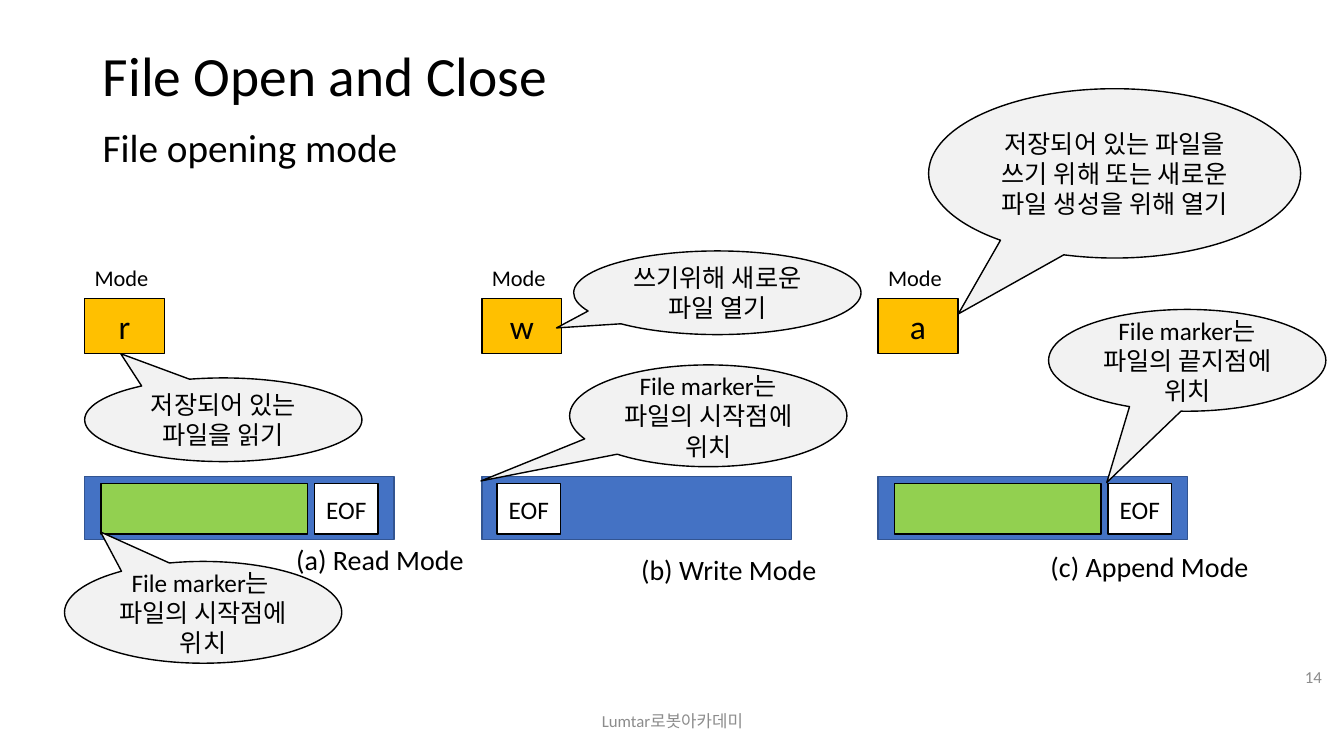
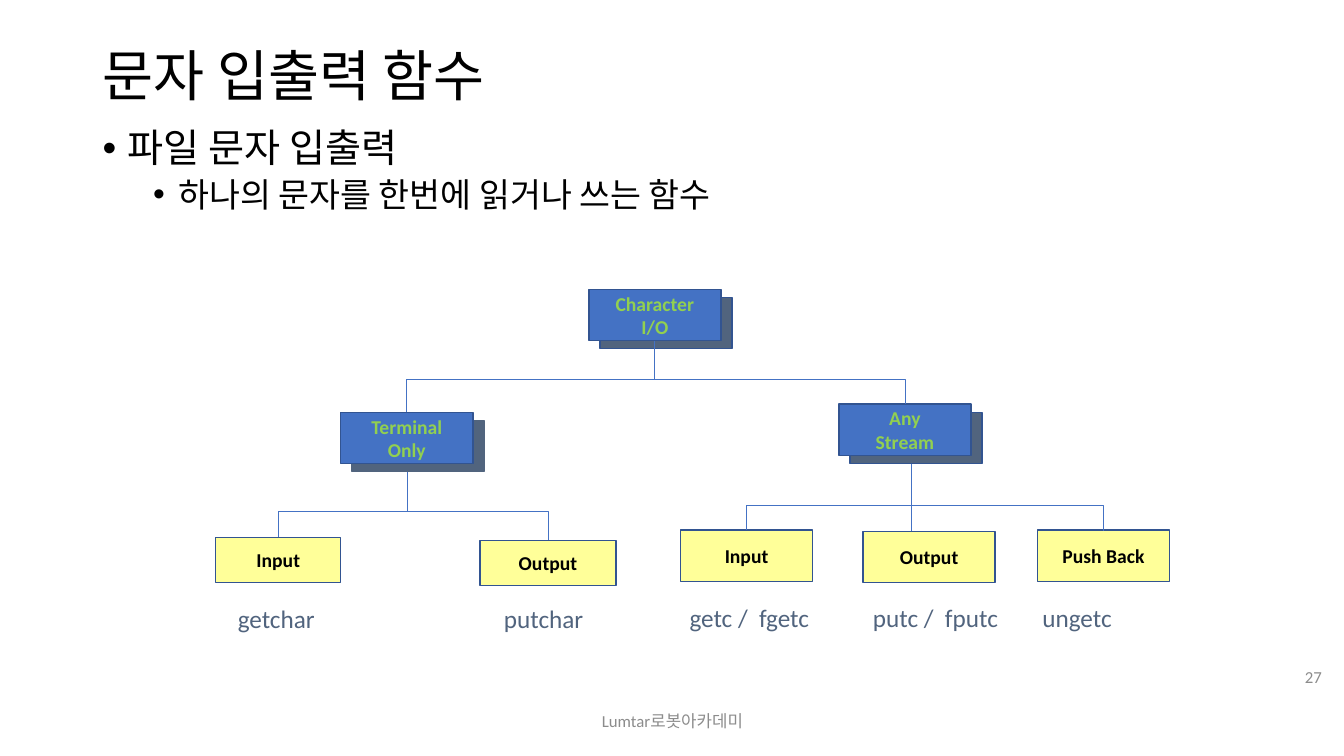
from lxml.etree import SubElement
from pptx import Presentation
from pptx.dml.color import RGBColor
from pptx.enum.shapes import MSO_CONNECTOR as CONN, MSO_SHAPE as SHAPE
from pptx.enum.text import MSO_ANCHOR as ANCHOR, MSO_AUTO_SIZE as AUTO, PP_ALIGN as ALIGN
from pptx.oxml.ns import qn
from pptx.util import Pt

PX = 9144
FONT = "Calibri"
BLACK, WHITE, GRAY = "000000", "FFFFFF", "8C8C8C"
BLUE, NAVY, SLATE = "4472C4", "325491", "51647E"
AMBER, GREEN, YELLOW, PALE = "FFC000", "92D050", "FFFF99", "F2F2F2"
FOOTER = "Lumtar로봇아카데미"


def px(n):
    return int(n * PX)


def rgb(code):
    return RGBColor.from_string(code)


class Deck:
    """Holds the shared style and the current slide."""

    def __init__(self):
        self.prs = Presentation()
        self.prs.slide_width, self.prs.slide_height = px(1333), px(750)
        self.s = None

    def slide(self, title, number):
        self.s = self.prs.slides.add_slide(self.prs.slide_layouts[5])
        sp = self.s.shapes.title
        sp.left, sp.top, sp.width, sp.height = map(px, (92, 40, 1150, 75))
        self.set_text(sp, [title], 39.6, spacing=0.9)
        self.text(442, 695, 450, 40, [FOOTER], 12, GRAY, ALIGN.CENTER, ANCHOR.MIDDLE)
        self.text(1259, 651, 62, 40, [number], 12, GRAY, ALIGN.RIGHT, ANCHOR.MIDDLE)

    def set_text(self, sp, lines, size, color=BLACK, align=ALIGN.LEFT,
                 anchor=ANCHOR.MIDDLE, bold=False, spacing=None):
        tf = sp.text_frame
        tf.word_wrap, tf.auto_size, tf.vertical_anchor = True, AUTO.NONE, anchor
        for i, line in enumerate(lines):
            p = tf.add_paragraph() if i else tf.paragraphs[0]
            p.alignment = align
            if spacing:
                p.line_spacing = spacing
            self.add_run(p, line, size, color, bold)

    def add_run(self, p, text, size, color=BLACK, bold=False):
        r = p.add_run()
        r.text = text
        r.font.name, r.font.size, r.font.bold = FONT, Pt(size), bold
        r.font.color.rgb = rgb(color)

    def text(self, x, y, w, h, lines, size, color=BLACK, align=ALIGN.LEFT,
             anchor=ANCHOR.TOP, spacing=None):
        sp = self.s.shapes.add_textbox(px(x), px(y), px(w), px(h))
        self.set_text(sp, lines, size, color, align, anchor, spacing=spacing)

    def bullets(self, x, y, w, h, items):
        sp = self.s.shapes.add_textbox(px(x), px(y), px(w), px(h))
        tf = sp.text_frame
        tf.word_wrap = True
        for i, (text, size, indent) in enumerate(items):
            p = tf.add_paragraph() if i else tf.paragraphs[0]
            p.line_spacing = 0.9
            if i:
                p.space_before = Pt(5)
            p.level = i
            pPr = p._p.get_or_add_pPr()
            pPr.set("marL", str(px(indent)))
            pPr.set("indent", str(px(-25)))
            SubElement(pPr, qn("a:buFont"), typeface="Arial")
            SubElement(pPr, qn("a:buChar"), char="•")
            self.add_run(p, text, size)

    def box(self, x, y, w, h, fill, line=BLACK, lines=(), size=18, color=BLACK,
            bold=False, shape=SHAPE.RECTANGLE):
        sp = self.s.shapes.add_shape(shape, px(x), px(y), px(w), px(h))
        sp.shadow.inherit = False
        sp.fill.solid()
        sp.fill.fore_color.rgb = rgb(fill)
        sp.line.color.rgb, sp.line.width = rgb(line), Pt(1)
        self.set_text(sp, lines, size, color, ALIGN.CENTER, bold=bold)
        return sp

    def callout(self, x, y, w, h, tip, lines):
        sp = self.box(x, y, w, h, PALE, lines=lines, shape=SHAPE.OVAL_CALLOUT)
        sp.adjustments[0], sp.adjustments[1] = tip

    def connector(self, kind, x1, y1, x2, y2):
        c = self.s.shapes.add_connector(kind, px(x1), px(y1), px(x2), px(y2))
        c.line.color.rgb, c.line.width = rgb(BLUE), Pt(0.5)
        SubElement(c._element.spPr, qn("a:effectLst"))
        return c

    def bracket(self, left, right, bus):
        c = self.connector(CONN.ELBOW, 0, 0, 1, 1)
        c.begin_connect(left, 0)
        c.end_connect(right, 0)
        x1, x2 = (sp.left + sp.width // 2 for sp in (left, right))
        rising = left.top > right.top
        rise, run = max(abs(left.top - right.top), PX), x2 - x1
        c.width, c.height = rise, run
        c.left = (x1 + x2 - rise) // 2
        c.top = (left.top + right.top - run) // 2
        xfrm = c._element.spPr.xfrm
        xfrm.rot, xfrm.flipH, xfrm.flipV = (90 if rising else 270), True, rising
        offset = (left.top - px(bus)) * (1 if rising else -1)
        guides = c._element.spPr.find(qn("a:prstGeom")).get_or_add_avLst()
        SubElement(guides, qn("a:gd"), name="adj1", fmla=f"val {offset * 100000 // rise}")

    def node(self, x, y, lines, edge=NAVY):
        self.box(x + 11, y + 8, 131, 51, SLATE, edge)
        return self.box(x, y, 131, 51, BLUE, NAVY, lines, 14, GREEN, True)

    def leaf(self, x, y, w, h, label):
        return self.box(x, y, w, h, YELLOW, NAVY, [label], 14, bold=True)


def modes_slide(d):
    d.slide("File Open and Close", "14")
    d.text(92, 123, 800, 60, ["File opening mode"], 28, spacing=0.9)
    for x, mode, has_data, caption, cx, cy in (
            (84, "r", True, "(a) Read Mode", 284, 533),
            (478, "w", False, "(b) Write Mode", 626, 543),
            (871, "a", True, "(c) Append Mode", 1032, 540)):
        d.box(x, 296, 79, 55, AMBER, lines=[mode], size=24)
        d.text(x, 257, 79, 37, ["Mode"], 16)
        d.box(x, 473, 307, 62, BLUE, NAVY)
        if has_data:
            d.box(x + 16, 480, 205, 50, GREEN)
        d.box(x + (228 if has_data else 15), 480, 63, 50, WHITE, lines=["EOF"])
        d.text(cx, cy, 260, 44, [caption], 20)
    for x, y, w, h, tip, lines in (
            (84, 375, 275, 83, (-0.37, -0.79), ["저장되어 있는 파일을 읽기"]),
            (569, 249, 285, 83, (-0.56, 0.42), ["쓰기위해 새로운 파일 열기"]),
            (921, 88, 369, 168, (-0.42, 0.83),
             ["저장되어 있는 파일을 쓰기 위해 또는 새로운 파일 생성을 위해 열기"]),
            (64, 557, 275, 101, (-0.37, -0.79),
             ["File marker는 ", "파일의 시작점에 위치"]),
            (565, 362, 275, 101, (-0.82, 0.64), ["File marker는 파일의 시작점에 위치"]),
            (1040, 307, 275, 101, (-0.29, 1.2), ["File marker는 파일의 끝지점에 위치"])):
        d.callout(x, y, w, h, tip, lines)


def functions_slide(d):
    d.slide("문자 입출력 함수", "27")
    d.bullets(92, 123, 1150, 110, [
        ("파일 문자 입출력", 28, 25),
        ("하나의 문자를 한번에 읽거나 쓰는 함수", 24, 75)])
    d.connector(CONN.STRAIGHT, 404, 463, 404, 507)
    d.connector(CONN.STRAIGHT, 904, 453, 904, 527)
    root = d.node(584, 287, ["Character", "I/O"])
    terminal = d.node(338, 409, ["Terminal", "Only"], SLATE)
    stream = d.node(832, 401, ["Any", "Stream"])
    stem = d.connector(CONN.STRAIGHT, 650, 338, 650, 376)
    stem.begin_connect(root, 2)
    stem.end_x = stem.begin_x
    get_leaf = d.leaf(214, 533, 124, 45, "Input")
    put_leaf = d.leaf(476, 536, 135, 45, "Output")
    input_leaf = d.leaf(675, 526, 131, 51, "Input")
    d.leaf(856, 527, 131, 51, "Output")
    push_leaf = d.leaf(1029, 526, 131, 51, "Push Back")
    d.bracket(terminal, stream, 376)
    d.bracket(get_leaf, put_leaf, 507)
    d.bracket(input_leaf, push_leaf, 501)
    for x, y, w, names in (
            (226, 594, 122, "getchar"), (490, 594, 122, "putchar"),
            (674, 593, 158, "getc /  fgetc"), (856, 593, 158, "putc /  fputc"),
            (1024, 593, 158, "ungetc")):
        d.text(x, y, w, 40, [names], 18, SLATE)


def main():
    d = Deck()
    modes_slide(d)
    functions_slide(d)
    d.prs.save("out.pptx")


if __name__ == "__main__":
    main()
